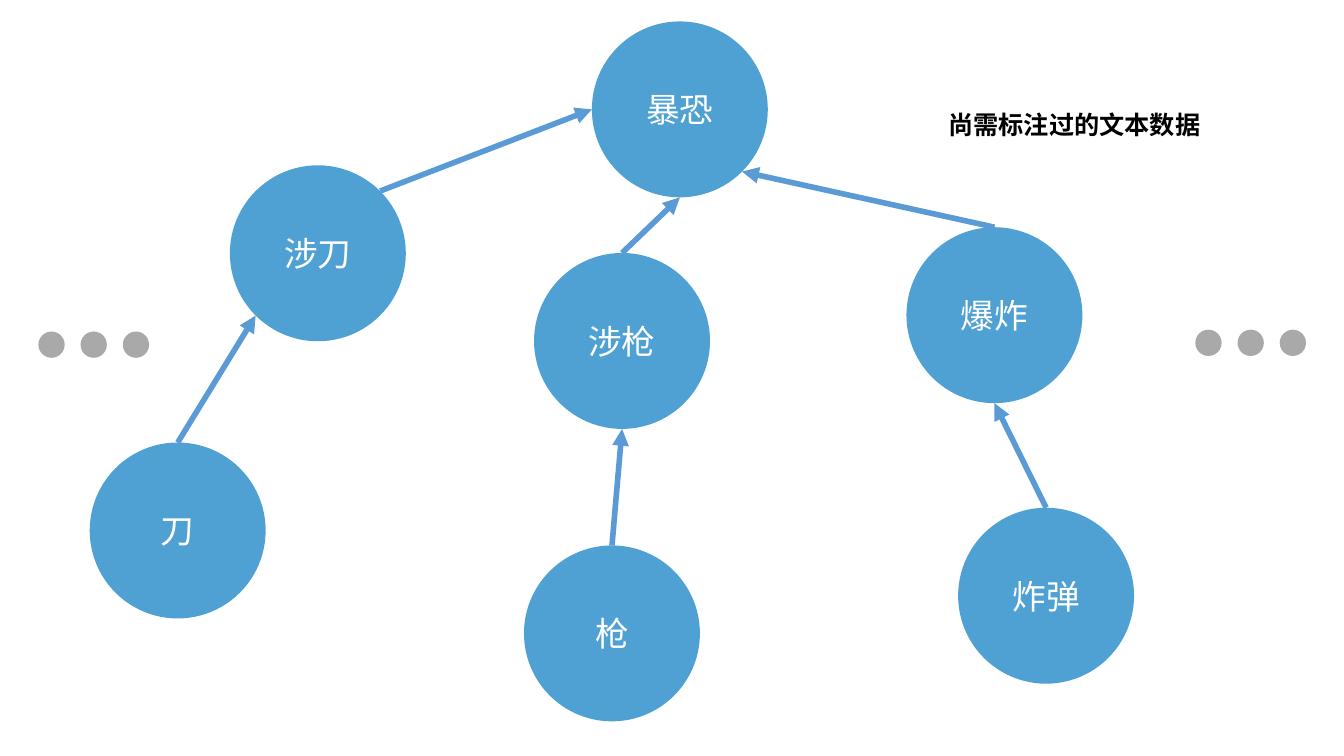
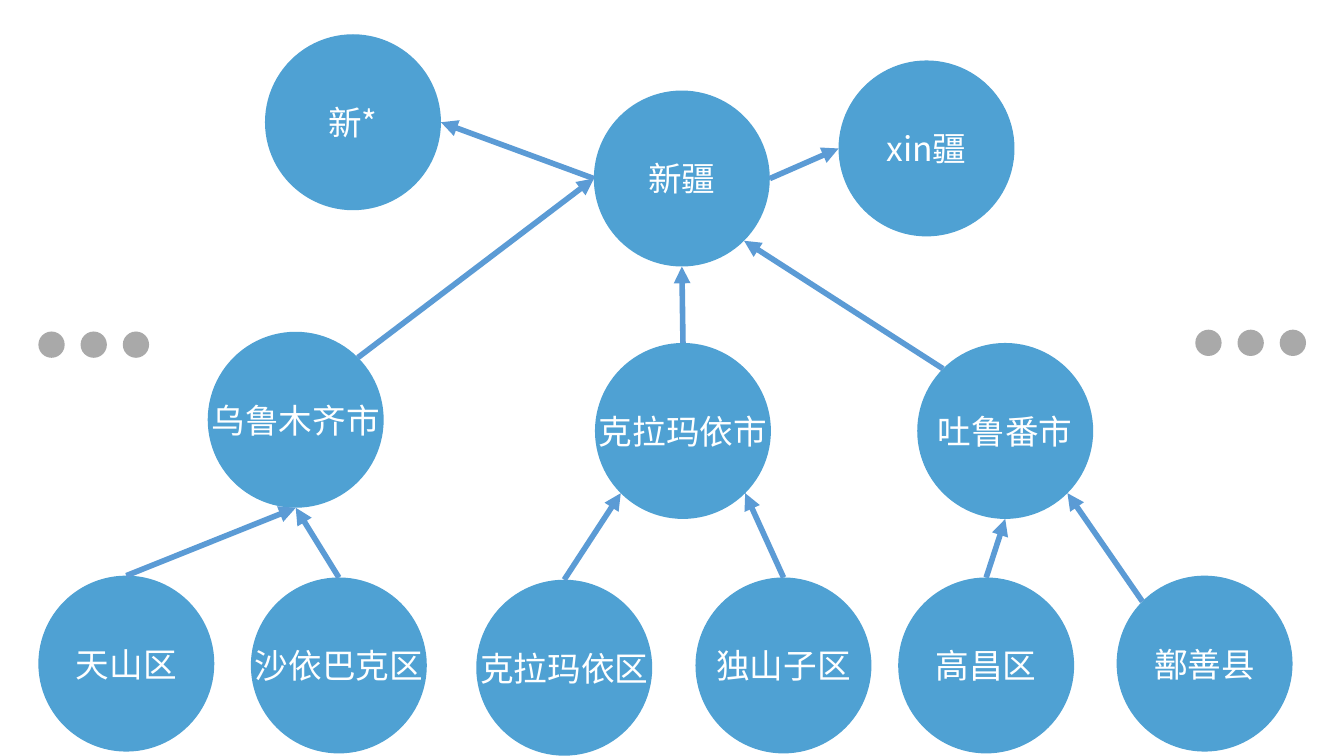
import math
from dataclasses import dataclass

from pptx import Presentation
from pptx.dml.color import RGBColor
from pptx.enum import shapes, text
from pptx.oxml import parse_xml
from pptx.oxml.ns import nsdecls, qn
from pptx.util import Pt


@dataclass(frozen=True)
class Theme:
    font: str = "Noto Sans CJK SC"
    node_fill: str = "4FA1D3"
    node_text: str = "FFFFFF"
    arrow: str = "5B9BD5"
    dot: str = "808080"
    caption_text: str = "000000"
    node_size: float = 24
    caption_size: float = 18
    arrow_width: float = 4
    dot_alpha: int = 67


THEME = Theme()
SLIDE_SIZE = (960, 540)
DIAMETER = 125.7
DOT, DOT_PITCH = 18.8, 30.15

# An ellipse has eight connection sites, counted anticlockwise from the top.
TOP, TOP_LEFT, LEFT, BOTTOM_LEFT, BOTTOM, BOTTOM_RIGHT, RIGHT, TOP_RIGHT = range(8)

# Node positions are left and top within the tree's box.
VIOLENCE_NODES = {
    "刀": (0, 301), "涉刀": (100.1, 103), "暴恐": (358.7, 0.2),
    "枪": (310.2, 374.5), "涉枪": (317.4, 165.6),
    "炸弹": (620.3, 347.6), "爆炸": (583.4, 147.2),
}
VIOLENCE_LINKS = [
    ("刀", TOP, "涉刀", BOTTOM_LEFT),
    ("涉刀", TOP_RIGHT, "暴恐", LEFT),
    ("枪", TOP, "涉枪", BOTTOM),
    ("涉枪", TOP, "暴恐", BOTTOM),
    ("爆炸", TOP, "暴恐", BOTTOM_RIGHT),
    ("炸弹", TOP, "爆炸", BOTTOM),
]
REGION_NODES = {
    "新*": (161.9, 0), "新疆": (396.8, 40.2), "xin疆": (571.6, 18.7),
    "乌鲁木齐市": (121, 212.5), "克拉玛依市": (397.6, 220.5), "吐鲁番市": (627.8, 220.5),
    "天山区": (0, 386.7), "沙依巴克区": (151.8, 388), "克拉玛依区": (312.8, 389.6),
    "独山子区": (469.4, 388), "高昌区": (614.2, 388), "鄯善县": (770.2, 386.7),
}
REGION_LINKS = [
    ("天山区", TOP, "乌鲁木齐市", BOTTOM),
    ("沙依巴克区", TOP, "乌鲁木齐市", BOTTOM),
    ("克拉玛依区", TOP, "克拉玛依市", BOTTOM_LEFT),
    ("独山子区", TOP, "克拉玛依市", BOTTOM_RIGHT),
    ("高昌区", TOP, "吐鲁番市", BOTTOM),
    ("鄯善县", TOP_LEFT, "吐鲁番市", BOTTOM_RIGHT),
    ("乌鲁木齐市", TOP_RIGHT, "新疆", LEFT),
    ("克拉玛依市", TOP, "新疆", BOTTOM),
    ("吐鲁番市", TOP_LEFT, "新疆", BOTTOM_RIGHT),
    ("新疆", LEFT, "新*", RIGHT),
    ("新疆", RIGHT, "xin疆", LEFT),
]


def write(shape, words, *, size, color, bold=False, align=None, anchor=None, wrap=True):
    frame = shape.text_frame
    frame.word_wrap = wrap
    if anchor is not None:
        frame.vertical_anchor = anchor
    paragraph = frame.paragraphs[0]
    paragraph.alignment = align
    run = paragraph.add_run()
    run.text = words
    run.font.name = THEME.font
    run.font.size = Pt(size)
    run.font.bold = bold
    run.font.color.rgb = RGBColor.from_string(color)
    east_asian = parse_xml(f'<a:ea {nsdecls("a")} typeface="{THEME.font}"/>')
    run.font._element.find(qn("a:latin")).addnext(east_asian)


def add_circle(slide, left, top, diameter, color):
    circle = slide.shapes.add_shape(
        shapes.MSO_SHAPE.OVAL, Pt(left), Pt(top), Pt(diameter), Pt(diameter))
    circle.shadow.inherit = False
    circle.fill.solid()
    circle.fill.fore_color.rgb = RGBColor.from_string(color)
    circle.line.fill.background()
    return circle


def site_point(circle, site):
    """Return the x and y of one of the circle's connection sites."""
    radius = circle.width / 2
    angle = site * math.pi / 4
    return (round(circle.left + radius * (1 - math.sin(angle))),
            round(circle.top + radius * (1 - math.cos(angle))))


def add_arrow(slide, source, source_site, target, target_site):
    arrow = slide.shapes.add_connector(
        shapes.MSO_CONNECTOR.STRAIGHT,
        *site_point(source, source_site), *site_point(target, target_site))
    arrow.line.color.rgb = RGBColor.from_string(THEME.arrow)
    arrow.line.width = Pt(THEME.arrow_width)
    arrow.line._get_or_add_ln().append(
        parse_xml(f'<a:tailEnd {nsdecls("a")} type="triangle"/>'))
    arrow._element.spPr.append(parse_xml(f'<a:effectLst {nsdecls("a")}/>'))
    # begin_connect knows only a rectangle's four sites, so the ends are joined here.
    joints = arrow._element.nvCxnSpPr.cNvCxnSpPr
    for joint, circle, site in ((joints.get_or_add_stCxn(), source, source_site),
                                (joints.get_or_add_endCxn(), target, target_site)):
        joint.id, joint.idx = circle.shape_id, site


def add_tree(slide, left, top, nodes, links):
    circles = {}
    for label, (x, y) in nodes.items():
        circles[label] = add_circle(slide, left + x, top + y, DIAMETER, THEME.node_fill)
        write(circles[label], label, size=THEME.node_size, color=THEME.node_text,
              align=text.PP_ALIGN.CENTER, anchor=text.MSO_ANCHOR.MIDDLE, wrap=False)
    for source, source_site, target, target_site in links:
        add_arrow(slide, circles[source], source_site, circles[target], target_site)


def add_ellipsis(slide, left, top):
    """Draw three translucent dots that stand for further branches."""
    for i in range(3):
        dot = add_circle(slide, left + i * DOT_PITCH, top, DOT, THEME.dot)
        color = dot._element.spPr.find(qn("a:solidFill"))[0]
        color.append(parse_xml(
            f'<a:alpha {nsdecls("a")} val="{THEME.dot_alpha * 1000}"/>'))


def add_caption(slide, left, top, width, height, words):
    caption = slide.shapes.add_textbox(Pt(left), Pt(top), Pt(width), Pt(height))
    write(caption, words, size=THEME.caption_size, color=THEME.caption_text, bold=True)
    caption.text_frame.auto_size = text.MSO_AUTO_SIZE.SHAPE_TO_FIT_TEXT


def add_tree_slide(deck, left, top, nodes, links):
    slide = deck.slides.add_slide(deck.slide_layouts[6])
    add_tree(slide, left, top, nodes, links)
    add_ellipsis(slide, 27.4, 236.8)
    add_ellipsis(slide, 853.8, 235.5)
    return slide


def main():
    deck = Presentation()
    deck.slide_width, deck.slide_height = map(Pt, SLIDE_SIZE)
    violence = add_tree_slide(deck, 64.1, 15.1, VIOLENCE_NODES, VIOLENCE_LINKS)
    add_caption(violence, 670.3, 74.2, 202.3, 28.8, "尚需标注过的文本数据")
    add_tree_slide(deck, 27.4, 24.5, REGION_NODES, REGION_LINKS)
    deck.save("out.pptx")


if __name__ == "__main__":
    main()
